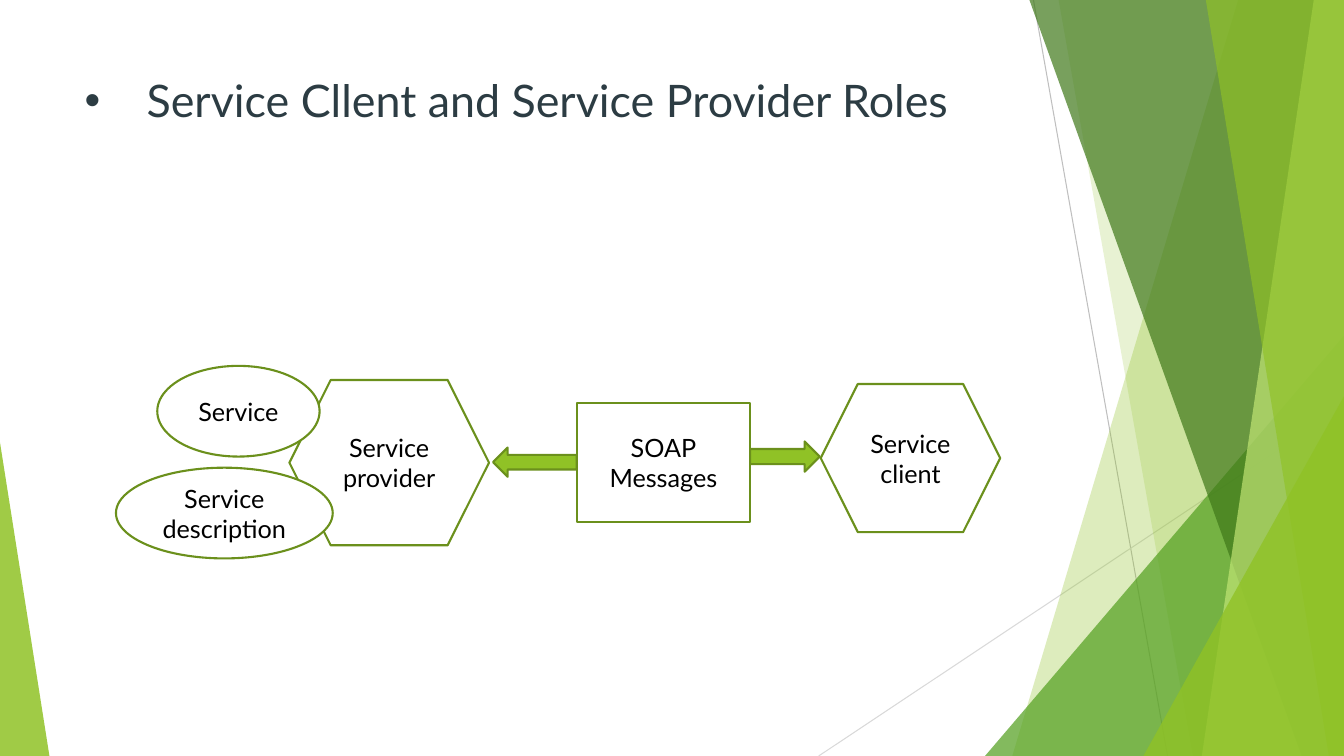
from lxml import etree
from pptx import Presentation
from pptx import util as u
from pptx.dml.color import RGBColor
from pptx.enum import shapes, text
from pptx.oxml.ns import qn

WHITE = RGBColor(0xFF, 0xFF, 0xFF)
BLACK = RGBColor(0x00, 0x00, 0x00)
SLATE = RGBColor(0x2C, 0x3C, 0x43)
LIME = RGBColor(0x90, 0xC2, 0x26)
PALE = RGBColor(0xC0, 0xE4, 0x74)
LEAF = RGBColor(0x54, 0xA0, 0x21)
MOSS = RGBColor(0x3F, 0x78, 0x19)
OLIVE = RGBColor(0x6B, 0x90, 0x1C)
GREY = RGBColor(0xBF, 0xBF, 0xBF)
MIST = RGBColor(0xD9, 0xD9, 0xD9)

COLS, ROWS = 133.3, 75
KIND = shapes.MSO_SHAPE


def put(obj, vals):
    for name, val in vals.items():
        setattr(obj, name, val)


class Deck:
    face = "Lato"

    def __init__(self):
        self.prs = Presentation()
        put(self.prs, dict(slide_width=u.Inches(13.33), slide_height=u.Inches(7.5)))
        self.page = self.prs.slides.add_slide(self.prs.slide_layouts[5])
        self.items = self.page.shapes

    def x(self, col):
        return round(self.prs.slide_width * col / COLS)

    def y(self, row):
        return round(self.prs.slide_height * row / ROWS)

    def box(self, left, top, wide, high):
        return self.x(left), self.y(top), self.x(wide), self.y(high)

    def label(self, frame, words, size, tone, side):
        frame.text = words
        for para in frame.paragraphs:
            para.alignment = side
            put(para.runs[0].font, dict(name=self.face, size=u.Pt(size)))
            para.runs[0].font.color.rgb = tone

    def paint(self, item, tone, edge=None, alpha=None):
        item.shadow.inherit = False
        item.fill.solid()
        item.fill.fore_color.rgb = tone
        if edge is None:
            item.line.fill.background()
        else:
            item.line.color.rgb = edge
            item.line.width = u.Pt(1.5)
        if alpha is not None:
            dye = item._element.spPr.find(qn("a:solidFill"))[0]
            etree.SubElement(dye, qn("a:alpha"), val=str(alpha * 1000))

    def title(self, words, *area):
        item = self.items.title
        put(item, dict(zip(("left", "top", "width", "height"), self.box(*area))))
        frame = item.text_frame
        put(frame, dict(word_wrap=True, auto_size=text.MSO_AUTO_SIZE.NONE,
                        vertical_anchor=text.MSO_ANCHOR.TOP))
        self.label(frame, words, 32, SLATE, text.PP_ALIGN.LEFT)
        props = frame.paragraphs[0]._p.get_or_add_pPr()
        props.set("marL", str(u.Inches(0.5)))
        props.set("indent", str(-u.Inches(0.5)))
        etree.SubElement(props, qn("a:buFont"), typeface="Arial")
        etree.SubElement(props, qn("a:buChar"), char="•")

    def rule(self, start, end, tone):
        item = self.items.add_connector(
            shapes.MSO_CONNECTOR.STRAIGHT, self.x(start[0]), self.y(start[1]),
            self.x(end[0]), self.y(end[1]))
        item.line.color.rgb = tone
        item.line.width = u.Pt(0.75)
        etree.SubElement(item._element.spPr, qn("a:effectLst"))

    def band(self, top, foot, tone, alpha):
        """Fill from a slanted left side to the slide's right edge."""
        pen = self.items.build_freeform(self.x(top), 0)
        pen.add_line_segments([(self.x(COLS), 0), (self.x(COLS), self.y(ROWS)),
                               (self.x(foot), self.y(ROWS))])
        self.paint(pen.convert_to_shape(), tone, alpha=alpha)

    def wedge(self, left, top, wide, tip, tone, alpha):
        """Triangle that stands on the slide's bottom edge."""
        item = self.items.add_shape(
            KIND.ISOSCELES_TRIANGLE, *self.box(left, top, wide, ROWS - top))
        item.adjustments[0] = tip
        self.paint(item, tone, alpha=alpha)

    def node(self, kind, area, words):
        item = self.items.add_shape(kind, *self.box(*area))
        self.paint(item, WHITE, OLIVE)
        self.label(item.text_frame, words, 18, BLACK, text.PP_ALIGN.CENTER)

    def arrow(self, kind, *area):
        self.paint(self.items.add_shape(kind, *self.box(*area)), LIME, OLIVE)


deck = Deck()

# Background facets
deck.rule((102.5, 0), (115.8, ROWS), GREY)
deck.rule((COLS, 40.3), (81.2, ROWS), MIST)
deck.band(122.8, 100.4, LIME, 30)
deck.band(105, 118.3, LIME, 20)
deck.wedge(97.7, 33.3, 35.6, 1, LEAF, 72)
deck.band(102.1, 129.1, MOSS, 70)
deck.band(130.3, 119.2, PALE, 70)
deck.band(119.6, 131.8, LIME, 65)
deck.wedge(113.4, 39.3, 19.9, 1, LIME, 80)
deck.wedge(0, 43.9, 4.9, 0, LIME, 85)

# Title
deck.title(" Service Cllent and Service Provider Roles", 7.4, 6.7, 94, 10.4)

# Roles and the messages between them
deck.node(KIND.HEXAGON, (28.7, 37.7, 19.8, 16.4), "Service\nprovider")
deck.arrow(KIND.LEFT_ARROW, 48.9, 44.4, 8.3, 2.9)
deck.node(KIND.RECTANGLE, (57.2, 40, 17.2, 11.8), "SOAP\nMessages")
deck.node(KIND.HEXAGON, (81.4, 38.1, 17.8, 14.7), "Service\nclient")
deck.arrow(KIND.RIGHT_ARROW, 74.4, 43.8, 6.9, 3)

# What the provider offers
deck.node(KIND.OVAL, (15.6, 36.3, 16.1, 9), "Service")
deck.node(KIND.OVAL, (11.5, 46.4, 21.5, 9), "Service\ndescription")

deck.prs.save("out.pptx")
